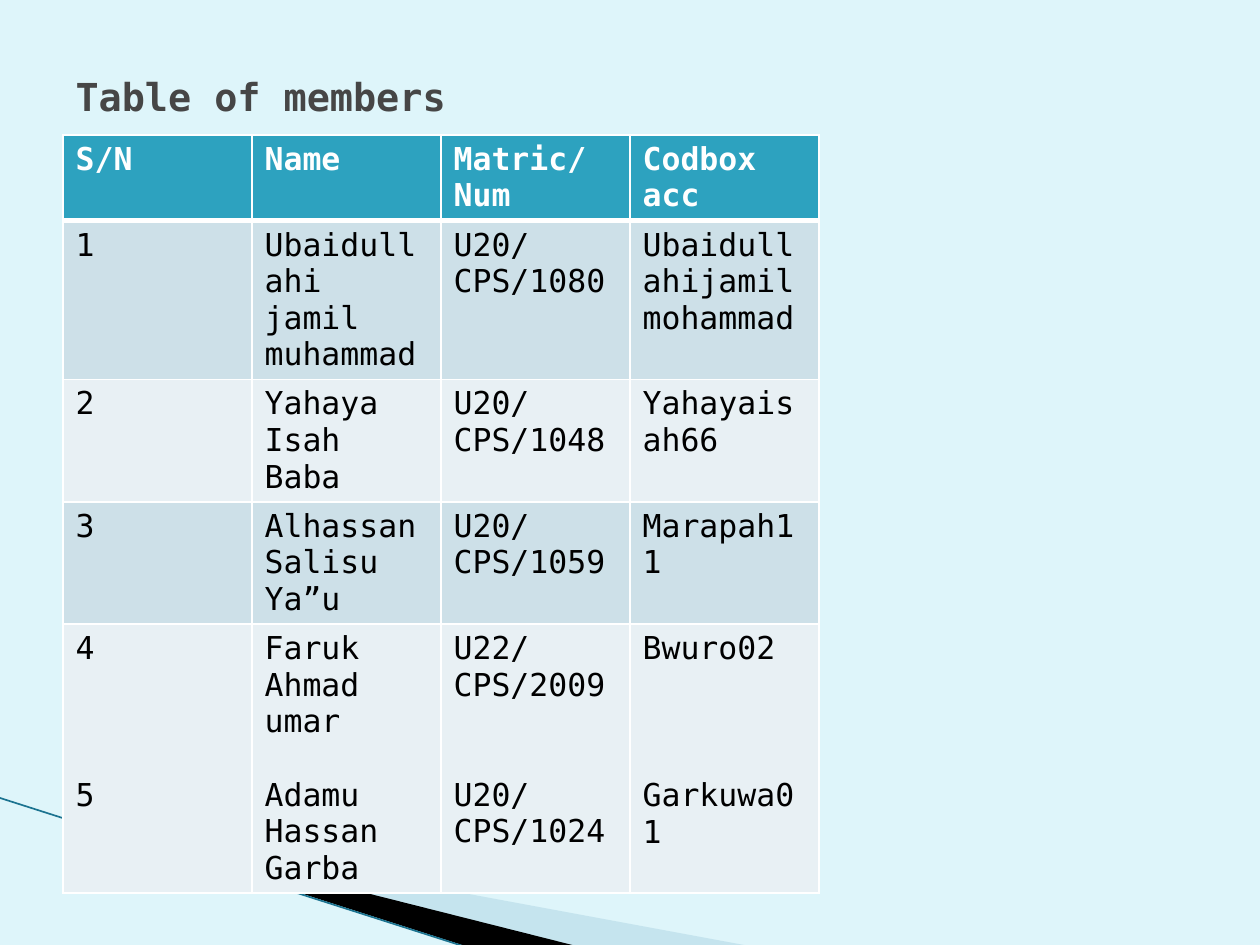
from lxml.etree import SubElement as Sub
from pptx import Presentation
from pptx.dml.color import RGBColor as Rgb
from pptx.enum.shapes import MSO_CONNECTOR as Conn
from pptx.enum.text import MSO_ANCHOR as Anchor, MSO_AUTO_SIZE as Auto, PP_ALIGN as Align
from pptx.oxml.ns import qn
from pptx.util import Pt

PX = 9144
SKY = Rgb(0xDE, 0xF5, 0xFA)
MIST = Rgb(0xA0, 0xCB, 0xDC)
BLACK = Rgb(0, 0, 0)
WHITE = Rgb(0xFF, 0xFF, 0xFF)
GRAY = Rgb(0x46, 0x46, 0x46)
TEAL = Rgb(0x2D, 0xA2, 0xBF)
DEEP = Rgb(0x1B, 0x73, 0x90)
BANDS = [Rgb(0xE8, 0xF0, 0xF4), Rgb(0xCD, 0xE0, 0xE8)]

FONT = "DejaVu Sans Mono"
HEAD = {"name": FONT, "size": Pt(22), "bold": True}
TOP = {"name": FONT, "size": Pt(18), "bold": True}
BODY = {"name": FONT, "size": Pt(18), "bold": False}
LINE = 21

ROWS = [
    (68, ["S/N", "Name", "Matric/Num", "Codbox\nacc"]),
    (126, ["1", "Ubaidullahi jamil muhammad", "U20/CPS/1080", "Ubaidullahijamilmohammad"]),
    (97, ["2", "Yahaya Isah Baba", "U20/CPS/1048", "Yahayaisah66"]),
    (97, ["3", "Alhassan Salisu Ya”u", "U20/CPS/1059", "Marapah11"]),
    (213, ["4\n5", "Faruk Ahmad umar\nAdamu Hassan Garba",
           "U22/CPS/2009\nU20/CPS/1024", "Bwuro02\nGarkuwa01"]),
]
GAPS = [3, 1, 2, 3]


def style(font, look, color):
    for key, val in look.items():
        setattr(font, key, val)
    font.color.rgb = color


def place(shape, box):
    for key, val in zip(("left", "top", "width", "height"), box):
        setattr(shape, key, val * PX)


def title(slide, box, text):
    shape = slide.shapes.title
    place(shape, box)
    frame = shape.text_frame
    frame.text = text
    form = {"word_wrap": True, "auto_size": Auto.NONE, "vertical_anchor": Anchor.MIDDLE}
    for key, val in form.items():
        setattr(frame, key, val)
    para = frame.paragraphs[0]
    para.alignment = Align.LEFT
    style(para.runs[0].font, HEAD, GRAY)


def wedge(slide, x, y, points, color, alpha=100):
    spots = [(x + dx, y + dy) for dx, dy in points]
    pen = slide.shapes.build_freeform(*spots[0], scale=PX)
    pen.add_line_segments(spots[1:], close=True)
    shape = pen.convert_to_shape()
    shape.shadow.inherit = False
    shape.line.fill.background()
    shape.fill.solid()
    shape.fill.fore_color.rgb = color
    if alpha < 100:
        tint = shape.fill._xPr.find(qn("a:solidFill"))[0]
        Sub(tint, qn("a:alpha"), val=str(alpha * 1000))


def swoosh(slide, x, y):
    wedge(slide, x, y, [(56, 18), (596, 118), (457, 118), (56, 17)], MIST, 40)
    wedge(slide, x, y, [(54, 16), (458, 118), (373, 119), (55, 17)], BLACK)
    ends = [x - 1, y, x + 371, y + 119]
    edge = slide.shapes.add_connector(Conn.STRAIGHT, *(n * PX for n in ends))
    edge.line.color.rgb = DEEP
    edge.line.width = Pt(0.95)
    Sub(edge._element.spPr, qn("a:effectLst"))


def border(cell, row):
    props = cell._tc.get_or_add_tcPr()
    wide = {"T": 3 if row == 1 else 1, "B": 3 if row == 0 else 1}
    for side in "LRTB":
        line = Sub(props, qn(f"a:ln{side}"), w=str(Pt(wide.get(side, 1))))
        Sub(Sub(line, qn("a:solidFill")), qn("a:srgbClr"), val=str(WHITE))


def fill_cell(cell, text, row, col):
    border(cell, row)
    cell.fill.solid()
    cell.fill.fore_color.rgb = BANDS[row % 2] if row else TEAL
    cell.text = text
    for num, para in enumerate(cell.text_frame.paragraphs):
        if row and num:
            para.space_before = Pt(GAPS[col] * LINE)
        style(para.runs[0].font, BODY if row else TOP, BLACK if row else WHITE)


def members(slide, box):
    size = len(ROWS), len(ROWS[0][1])
    grid = slide.shapes.add_table(*size, *(n * PX for n in box)).table
    for col in grid.columns:
        col.width = box[2] * PX // size[1]
    for row, (tall, texts) in enumerate(ROWS):
        grid.rows[row].height = tall * PX
        for col, text in enumerate(texts):
            fill_cell(grid.cell(row, col), text, row, col)


def main():
    deck = Presentation()
    deck.slide_width, deck.slide_height = 1000 * PX, 750 * PX
    slide = deck.slides.add_slide(deck.slide_layouts[5])
    slide.background.fill.solid()
    slide.background.fill.fore_color.rgb = SKY
    swoosh(slide, 0, 633)
    members(slide, (50, 107, 600, sum(tall for tall, _ in ROWS)))
    title(slide, (50, 30, 900, 93), "Table of members")
    deck.save("out.pptx")


if __name__ == "__main__":
    main()
